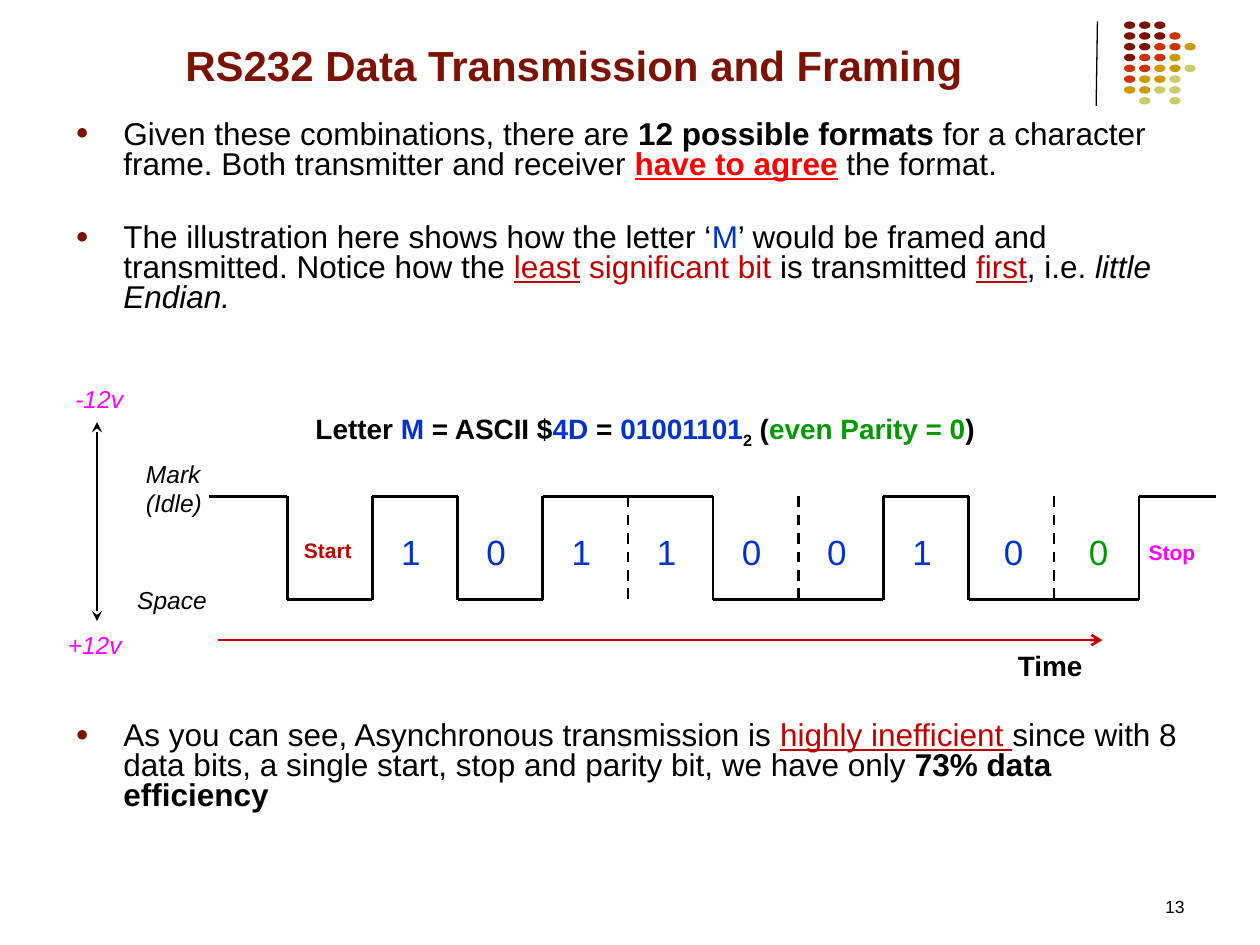
from itertools import groupby

from lxml import etree
from pptx import Presentation
from pptx.dml.color import RGBColor
from pptx.enum.dml import MSO_LINE
from pptx.enum.shapes import MSO_CONNECTOR, MSO_SHAPE
from pptx.enum.text import MSO_ANCHOR, MSO_AUTO_SIZE, PP_ALIGN
from pptx.oxml.ns import qn
from pptx.util import Inches, Pt

STRAIGHT, OVAL, DASH = MSO_CONNECTOR.STRAIGHT, MSO_SHAPE.OVAL, MSO_LINE.DASH
LEFT, CENTER, RIGHT = PP_ALIGN.LEFT, PP_ALIGN.CENTER, PP_ALIGN.RIGHT

BLACK = RGBColor(0x00, 0x00, 0x00)
MAROON = RGBColor(0x7C, 0x13, 0x02)
RUST = RGBColor(0xCC, 0x33, 0x00)
GOLD = RGBColor(0xCC, 0x99, 0x00)
OLIVE = RGBColor(0xCC, 0xCC, 0x66)
RED = RGBColor(0xFF, 0x00, 0x00)
CRIMSON = RGBColor(0xC0, 0x00, 0x00)
BLUE = RGBColor(0x00, 0x33, 0xCC)
GREEN = RGBColor(0x00, 0x99, 0x00)
MAGENTA = RGBColor(0xFF, 0x00, 0xFF)

TITLE = "RS232 Data Transmission and Framing"

# (space before in points, runs); a run is (text, format)
BULLETS = [
    (3.6, [("Given these combinations, there are ", {}),
           ("12 possible formats", {"bold": True}),
           (" for a character frame. Both transmitter and receiver ", {}),
           ("have to agree", {"color": RED, "bold": True, "underline": True}),
           (" the format.", {})]),
    (24.4, [("The illustration here shows how the letter ‘", {}),
            ("M", {"color": BLUE}),
            ("’ would be framed and transmitted. Notice how the ", {}),
            ("least", {"color": CRIMSON, "underline": True}),
            (" significant bit ", {"color": CRIMSON}),
            ("is transmitted ", {}),
            ("first", {"color": CRIMSON, "underline": True}),
            (", i.e. ", {}),
            ("little Endian.", {"italic": True})]),
    (232.7, [("As you can see, Asynchronous transmission is ", {}),
             ("highly inefficient ", {"color": CRIMSON, "underline": True}),
             ("since with 8 data bits, a single start, stop and parity bit, "
              "we have only ", {}),
             ("73% data efficiency", {"bold": True})]),
]

CAPTION = [("Letter ", {}), ("M", {"color": BLUE}), (" = ASCII $", {}),
           ("4D", {"color": BLUE}), (" = ", {}), ("01001101", {"color": BLUE}),
           ("2", {"baseline": -25000}), (" (", {}),
           ("even Parity = 0", {"color": GREEN}), (")", {})]

# (text, left, top, width, height, format)
LABELS = [
    ("Mark\n(Idle)", 1.06, 3.59, 1.08, 0.57, {"size": 14, "italic": True}),
    ("Space", 0.99, 4.59, 1.08, 0.34, {"size": 14, "italic": True}),
    ("-12v", 0.5, 3, 0.84, 0.34, {"size": 14, "italic": True, "color": MAGENTA}),
    ("+12v", 0.44, 4.95, 0.84, 0.34, {"size": 14, "italic": True, "color": MAGENTA}),
    ("Start ", 2.2, 4.22, 0.85, 0.3,
     {"size": 12, "bold": True, "color": CRIMSON, "align": CENTER}),
    ("Stop ", 8.9, 4.23, 0.85, 0.3,
     {"size": 12, "bold": True, "color": MAGENTA, "align": CENTER}),
    (CAPTION, 2.27, 3.22, 5.7, 0.37, {"size": 16, "bold": True, "align": CENTER}),
    ("Time", 7.98, 5.1, 1.35, 0.37, {"size": 16, "bold": True}),
    ("13", 7.17, 7.06, 2.33, 0.28, {"size": 10, "align": RIGHT}),
]

# Start bit, eight data bits (least significant first), parity bit
FRAME = "0101100100"
FRAME_LEFT, FRAME_RIGHT = 2.28, 9.04
BIT_W = (FRAME_RIGHT - FRAME_LEFT) / len(FRAME)
IDLE_LEFT, STOP_RIGHT = 1.66, 9.65
LEVEL_Y = {"1": 3.94, "0": 4.76}

DOT_ROWS = ["MMM", "MMMR", "MMRRG", "MRRG", "RRGGO", "RGGO", "GGOO", " O O"]
DOT_COLORS = {"M": MAROON, "R": RUST, "G": GOLD, "O": OLIVE}


def write(p, text, size=18, color=BLACK, align=LEFT, **fmt):
    """Fill a paragraph from a string or a list of (text, format) runs."""
    p.alignment = align
    runs = [(text, {})] if isinstance(text, str) else text
    for run_text, own in runs:
        f = {"color": color, **fmt, **own}
        r = p.add_run()
        r.text = run_text
        r.font.name, r.font.size = "Arial", Pt(size)
        r.font.color.rgb = f["color"]
        r.font.bold = f.get("bold", False)
        r.font.italic = f.get("italic", False)
        r.font.underline = f.get("underline", False)
        if "baseline" in f:
            r.font._element.set("baseline", str(f["baseline"]))


def place(sp, left, top, width, height):
    sp.left, sp.top = Inches(left), Inches(top)
    sp.width, sp.height = Inches(width), Inches(height)


def add_label(slide, text, left, top, width, height, fmt):
    sp = slide.shapes.add_textbox(*map(Inches, (left, top, width, height)))
    tf = sp.text_frame
    tf.word_wrap = True
    lines = text.split("\n") if isinstance(text, str) else [text]
    for i, line in enumerate(lines):
        write(tf.add_paragraph() if i else tf.paragraphs[0], line, **fmt)


def add_line(slide, x1, y1, x2, y2, color=BLACK, width=1.5, dash=None,
             head=None, tail=None):
    sp = slide.shapes.add_connector(STRAIGHT, *map(Inches, (x1, y1, x2, y2)))
    sp.line.color.rgb, sp.line.width = color, Pt(width)
    if dash:
        sp.line.dash_style = dash
    ln = sp.line._get_or_add_ln()
    for tag, kind in (("a:headEnd", head), ("a:tailEnd", tail)):
        if kind:
            etree.SubElement(ln, qn(tag), type=kind)
    etree.SubElement(sp._element.spPr, qn("a:effectLst"))


def add_bullet(p):
    pPr = p._p.get_or_add_pPr()
    pPr.set("marL", str(Inches(0.38)))
    pPr.set("indent", str(-Inches(0.38)))
    clr = etree.SubElement(pPr, qn("a:buClr"))
    etree.SubElement(clr, qn("a:srgbClr"), val=str(MAROON))
    etree.SubElement(pPr, qn("a:buSzPct"), val="70000")
    etree.SubElement(pPr, qn("a:buFont"), typeface="Arial")
    etree.SubElement(pPr, qn("a:buChar"), char="●")


def add_dots(slide):
    for row, codes in enumerate(DOT_ROWS):
        for col, code in enumerate(codes):
            if code in DOT_COLORS:
                sp = slide.shapes.add_shape(OVAL, 0, 0, 0, 0)
                place(sp, 8.92 + 0.12 * col, 0.17 + 0.6 / 7 * row, 0.09, 0.06)
                sp.fill.solid()
                sp.fill.fore_color.rgb = DOT_COLORS[code]
                sp.line.fill.background()
                sp.shadow.inherit = False


def add_waveform(slide):
    high, low = LEVEL_Y["1"], LEVEL_Y["0"]
    add_line(slide, IDLE_LEFT, high, FRAME_LEFT, high)
    add_line(slide, FRAME_RIGHT, high, STOP_RIGHT, high)
    x = FRAME_LEFT
    for bit, run in groupby(FRAME):
        end = x + BIT_W * len(list(run))
        add_line(slide, x, LEVEL_Y[bit], end, LEVEL_Y[bit])
        x = end
    signal = "1" + FRAME + "1"
    for i, (before, after) in enumerate(zip(signal, signal[1:])):
        x = FRAME_LEFT + i * BIT_W
        add_line(slide, x, high, x, low, dash=DASH if before == after else None)
    parity = len(FRAME) - 1
    for i in range(1, len(FRAME)):
        inset = 0.13 if i < parity - 1 else 0.18
        add_label(slide, FRAME[i], FRAME_LEFT + i * BIT_W + inset, 4.16, 0.32, 0.44,
                  {"size": 20, "color": GREEN if i == parity else BLUE})


def main():
    prs = Presentation()
    prs.slide_width, prs.slide_height = Inches(10), Inches(7.5)
    slide = prs.slides.add_slide(prs.slide_layouts[1])

    add_line(slide, 8.71, 0.17, 8.7, 0.84, width=0.75)
    add_dots(slide)

    title, body = slide.placeholders
    place(title, 0.43, 0.21, 8.25, 0.55)
    title.text_frame.vertical_anchor = MSO_ANCHOR.BOTTOM
    write(title.text_frame.paragraphs[0], TITLE, size=24, color=MAROON,
          bold=True, align=CENTER)

    place(body, 0.5, 0.91, 9, 5.79)
    tf = body.text_frame
    for sp in (title, body):
        sp.text_frame.auto_size = MSO_AUTO_SIZE.NONE
    for i, (gap, runs) in enumerate(BULLETS):
        p = tf.add_paragraph() if i else tf.paragraphs[0]
        p.line_spacing, p.space_before = 0.8, Pt(gap)
        add_bullet(p)
        write(p, runs)

    add_waveform(slide)
    for label in LABELS:
        add_label(slide, *label)
    add_line(slide, 0.77, 3.35, 0.77, 4.93, head="stealth", tail="stealth")
    add_line(slide, 1.73, 5.08, 8.75, 5.08, color=CRIMSON, tail="arrow")
    prs.save("out.pptx")


if __name__ == "__main__":
    main()
